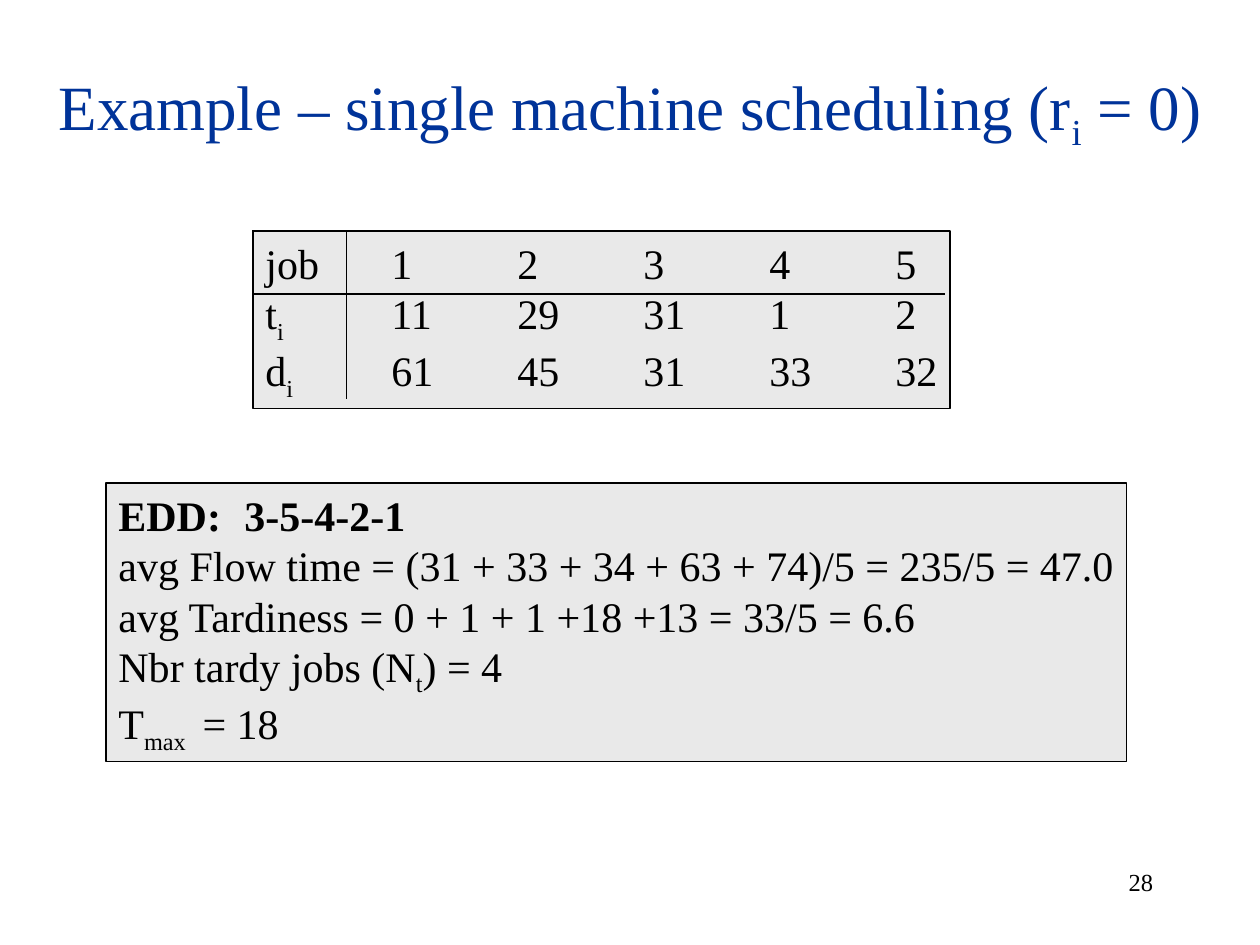
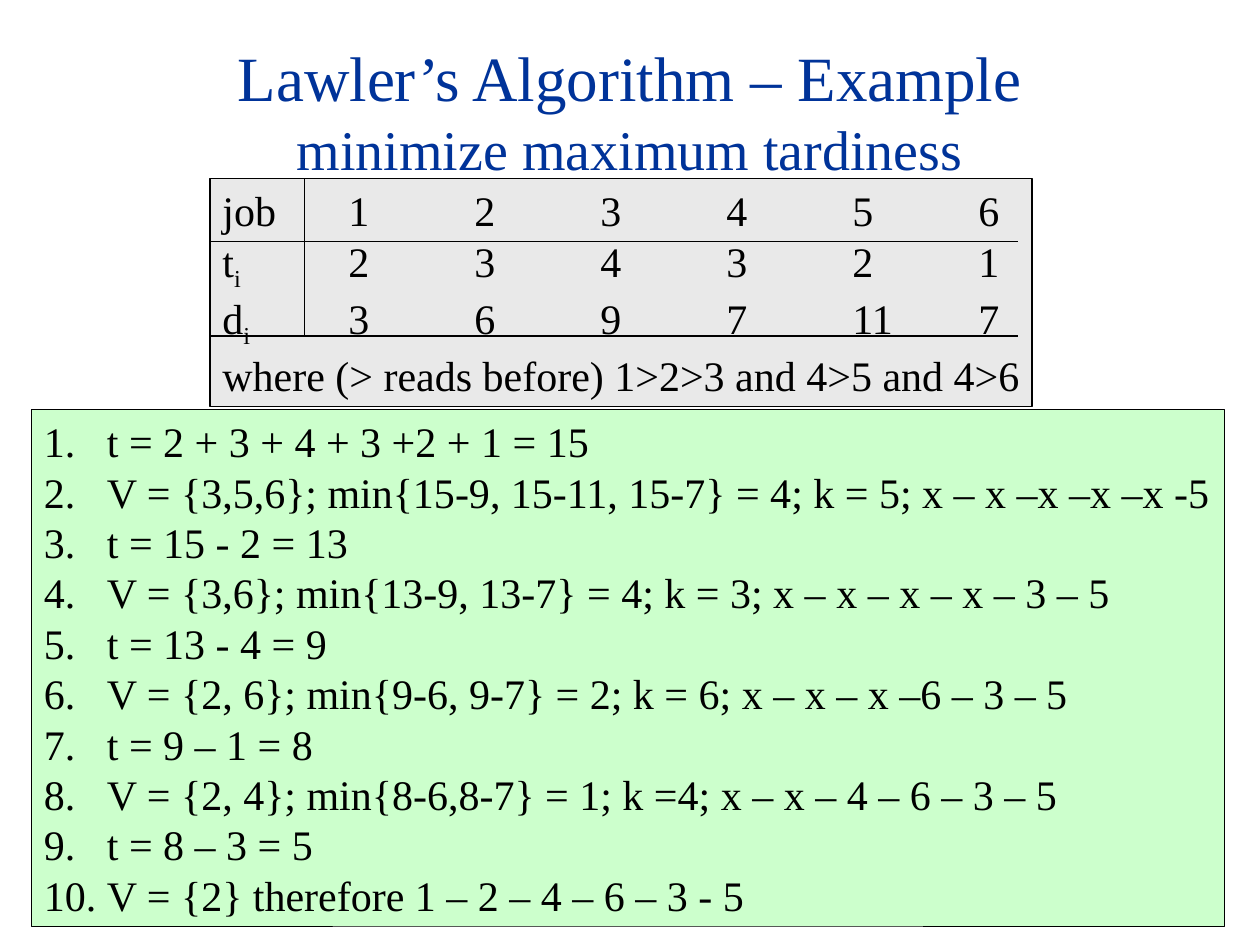
from dataclasses import dataclass
from typing import Any

import pptx
import pptx.dml.color
import pptx.enum.shapes
import pptx.enum.text
import pptx.oxml.ns
import pptx.util
from lxml import etree

# Shared look: the slide is a grid of 120 columns by 90 rows
COLUMNS, ROWS = 120, 90
FONT = "Times New Roman"
INK, TITLE_BLUE, GREY, GREEN = "000000", "003399", "E9E9E9", "CCFFCC"
BODY_SIZE, TITLE_SIZE, SUBTITLE_SIZE, NUMBER_SIZE = 24, 36, 32, 14
TAB_STOPS = 7
SUBSCRIPT = "~"  # text between two marks is lowered

ALIGN = pptx.enum.text.PP_ALIGN
ANCHOR = pptx.enum.text.MSO_ANCHOR
FIT = pptx.enum.text.MSO_AUTO_SIZE

deck = pptx.Presentation()
deck.slide_width = pptx.util.Inches(10)
deck.slide_height = pptx.util.Inches(7.5)


@dataclass(frozen=True)
class Area:
    """A place on the grid, in columns and rows."""
    column: float
    row: float
    width: float
    height: float


@dataclass(frozen=True)
class Panel:
    area: Area
    lines: list[str]
    fill: str = GREY
    border: float = 0.75
    bold_lines: int = 0
    numbered: bool = False


@dataclass(frozen=True)
class Rule:
    """A straight line between two grid points."""
    start: tuple[float, float]
    end: tuple[float, float]


# Helpers
def across(columns: float) -> int:
    return round(deck.slide_width * columns / COLUMNS)


def down(rows: float) -> int:
    return round(deck.slide_height * rows / ROWS)


def color(code: str) -> pptx.dml.color.RGBColor:
    return pptx.dml.color.RGBColor.from_string(code)


def place(area: Area) -> tuple[int, int, int, int]:
    return across(area.column), down(area.row), across(area.width), down(area.height)


def apply(target: Any, formats: dict[str, Any]) -> None:
    for name, value in formats.items():
        setattr(target, name, value)


def add_child(parent: Any, tag: str, **attributes: str) -> Any:
    return etree.SubElement(parent, pptx.oxml.ns.qn(tag), attributes)


def write(paragraph: Any, text: str, size: float, code: str = INK,
          bold: bool = False) -> None:
    for index, piece in enumerate(text.split(SUBSCRIPT)):
        if not piece:
            continue
        run = paragraph.add_run()
        run.text = piece
        apply(run.font, {"name": FONT, "size": pptx.util.Pt(size), "bold": bold})
        run.font.color.rgb = color(code)
        if index % 2:
            run.font._element.set("baseline", "-25000")


def format_paragraph(paragraph: Any, numbered: bool) -> None:
    """Number the line if asked, and set a tab stop at every inch."""
    paragraph.alignment = ALIGN.LEFT
    properties = paragraph._p.get_or_add_pPr()
    if numbered:
        indent = pptx.util.Inches(0.5)
        properties.set("marL", str(indent))
        properties.set("indent", str(-indent))
        bullet_color = add_child(properties, "a:buClr")
        add_child(bullet_color, "a:srgbClr", val=INK)
        add_child(properties, "a:buFont", typeface=FONT)
        add_child(properties, "a:buAutoNum", type="arabicPeriod")
    stops = add_child(properties, "a:tabLst")
    for inch in range(1, TAB_STOPS + 1):
        add_child(stops, "a:tab", pos=str(pptx.util.Inches(inch)), algn="l")


def draw_panel(shapes: Any, panel: Panel) -> None:
    box = shapes.add_shape(pptx.enum.shapes.MSO_SHAPE.RECTANGLE, *place(panel.area))
    box.shadow.inherit = False
    box.fill.solid()
    box.fill.fore_color.rgb = color(panel.fill)
    box.line.color.rgb = color(INK)
    box.line.width = pptx.util.Pt(panel.border)
    frame = box.text_frame
    apply(frame, {"word_wrap": panel.numbered, "vertical_anchor": ANCHOR.TOP,
                  "auto_size": FIT.SHAPE_TO_FIT_TEXT})
    for index, line in enumerate(panel.lines):
        paragraph = frame.add_paragraph() if index else frame.paragraphs[0]
        format_paragraph(paragraph, panel.numbered)
        write(paragraph, line, BODY_SIZE, bold=index < panel.bold_lines)


def draw_rule(shapes: Any, rule: Rule) -> None:
    (x1, y1), (x2, y2) = rule.start, rule.end
    line = shapes.add_connector(pptx.enum.shapes.MSO_CONNECTOR.STRAIGHT,
                                across(x1), down(y1), across(x2), down(y2))
    line.line.color.rgb = color(INK)
    line.line.width = pptx.util.Pt(0.75)
    add_child(line._element.spPr, "a:effectLst")


def draw_job_table(shapes: Any, panel: Panel, rules: list[Rule]) -> None:
    draw_panel(shapes, panel)
    for rule in rules:
        draw_rule(shapes, rule)


def add_titled_slide(area: Area, title: str, subtitle: str = "") -> Any:
    slide = deck.slides.add_slide(deck.slide_layouts.get_by_name("Title Only"))
    heading = slide.shapes.title
    left, top, width, height = place(area)
    apply(heading, {"left": left, "top": top, "width": width, "height": height})
    apply(heading.text_frame, {"word_wrap": True, "auto_size": FIT.NONE,
                               "vertical_anchor": ANCHOR.MIDDLE})
    paragraph = heading.text_frame.paragraphs[0]
    paragraph.alignment = ALIGN.CENTER
    write(paragraph, title, TITLE_SIZE, TITLE_BLUE)
    if subtitle:
        paragraph.add_line_break()
        write(paragraph, subtitle, SUBTITLE_SIZE, TITLE_BLUE)
    return slide


def add_page_number(slide: Any, number: str) -> None:
    box = slide.shapes.add_textbox(*place(Area(86, 82, 25, 6)))
    box.text_frame.word_wrap = True
    paragraph = box.text_frame.paragraphs[0]
    paragraph.alignment = ALIGN.RIGHT
    write(paragraph, number, NUMBER_SIZE)


# Slide 1: single machine scheduling
def build_scheduling_slide() -> None:
    slide = add_titled_slide(Area(4, 6, 112, 9),
                             "Example – single machine scheduling (r~i~ = 0)")
    add_page_number(slide, "28")
    jobs = Panel(Area(24.1, 22, 66.4, 16.9), [
        "job\t1\t2\t3\t4\t5",
        "t~i\t~11\t29\t31\t1\t2",
        "d~i\t~61\t45\t31\t33\t32",
    ], border=1)
    draw_job_table(slide.shapes, jobs, [
        Rule((24, 22), (90, 22)),
        Rule((33, 22), (33, 38)),
        Rule((24, 28), (90, 28)),
    ])
    draw_panel(slide.shapes, Panel(Area(10.1, 46, 97.2, 26.5), [
        "EDD:\t3-5-4-2-1",
        "avg Flow time = (31 + 33 + 34 + 63 + 74)/5 = 235/5 = 47.0",
        "avg Tardiness = 0 + 1 + 1 +18 +13 = 33/5 = 6.6",
        "Nbr tardy jobs (N~t~) = 4",
        "T~max ~ = 18",
    ], bold_lines=1))


# Slide 2: Lawler's algorithm
def build_lawler_slide() -> None:
    slide = add_titled_slide(Area(9, 6, 102, 9), "Lawler’s Algorithm – Example",
                             "minimize maximum tardiness")
    jobs = Panel(Area(20, 17, 78.3, 21.7), [
        "job\t1\t2\t3\t4\t5\t6",
        "t~i\t~2\t3\t4\t3\t2\t1",
        "d~i\t~3\t6\t9\t7\t11\t7",
        "where (> reads before) 1>2>3 and 4>5 and 4>6",
    ])
    draw_job_table(slide.shapes.add_group_shape().shapes, jobs, [
        Rule((20, 23), (97, 23)),
        Rule((29, 17), (29, 32)),
        Rule((20, 32), (97, 32)),
    ])
    draw_panel(slide.shapes, Panel(Area(3, 39, 113.6, 49.2), [
        "t = 2 + 3 + 4 + 3 +2 + 1 = 15",
        "V = {3,5,6}; min{15-9, 15-11, 15-7} = 4; k = 5; x – x –x –x –x -5",
        "t = 15 - 2 = 13",
        "V = {3,6}; min{13-9, 13-7} = 4; k = 3; x – x – x – x – 3 – 5",
        "t = 13 - 4 = 9",
        "V = {2, 6}; min{9-6, 9-7} = 2; k = 6; x – x – x –6 – 3 – 5",
        "t = 9 – 1 = 8",
        "V = {2, 4}; min{8-6,8-7} = 1; k =4; x – x – 4 – 6 – 3 – 5",
        "t = 8 – 3 = 5",
        "V = {2} therefore 1 – 2 – 4 – 6 – 3 - 5",
    ], fill=GREEN, border=0.5, numbered=True))


def main() -> None:
    build_scheduling_slide()
    build_lawler_slide()
    deck.save("out.pptx")


if __name__ == "__main__":
    main()
